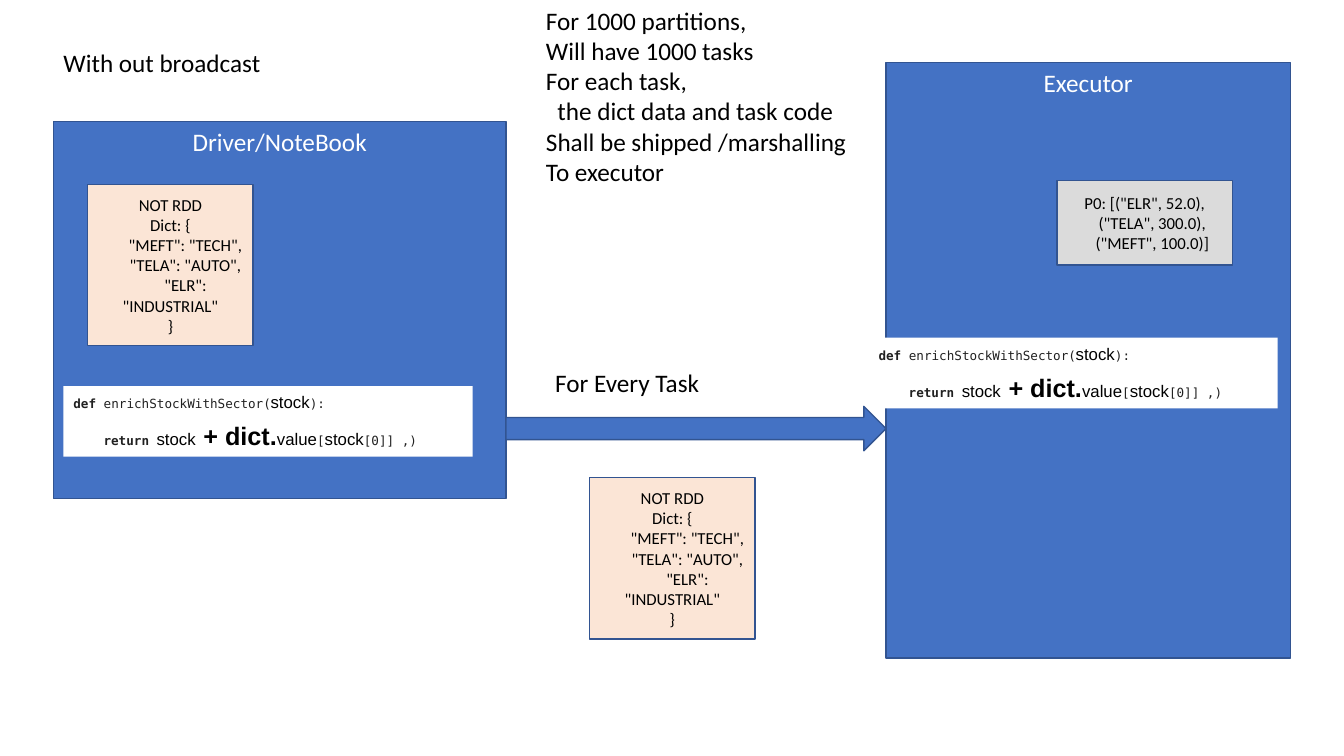
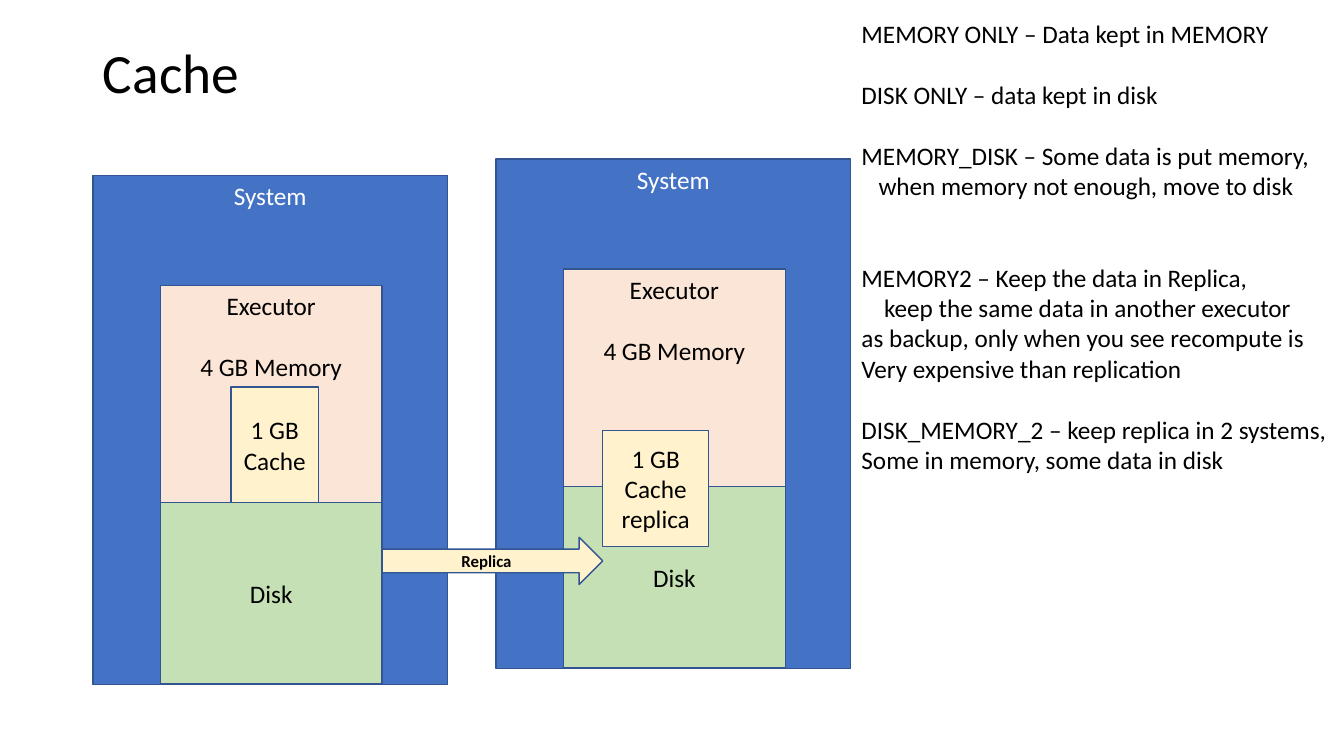
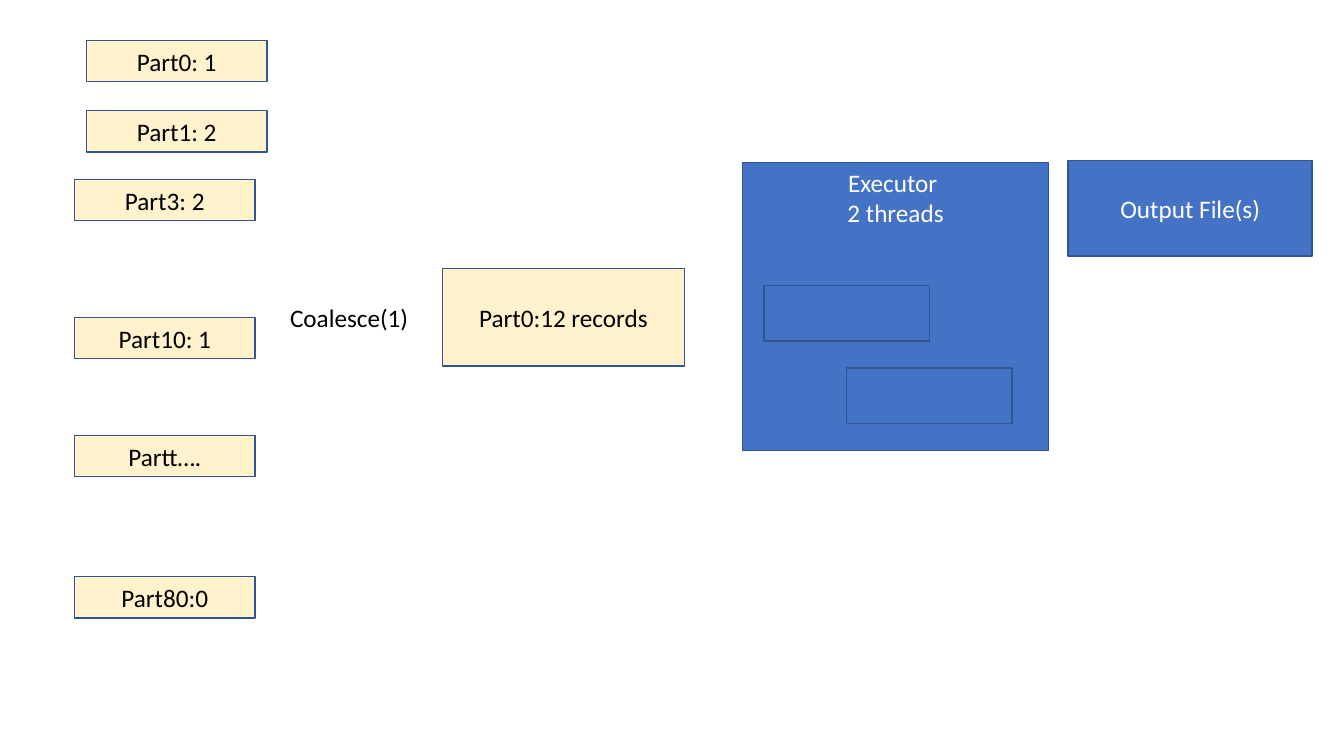
from dataclasses import dataclass

from pptx import Presentation
from pptx.dml.color import RGBColor
from pptx.enum.shapes import MSO_SHAPE as Shape
from pptx.enum.text import MSO_ANCHOR as Anchor, PP_ALIGN as Align
from pptx.util import Cm, Pt


@dataclass(frozen=True)
class Theme:
    blue: str = "4472C4"
    edge: str = "325491"
    peach: str = "FBE5D6"
    cream: str = "FFF2CC"
    green: str = "C5E0B4"
    gray: str = "DBDBDB"
    white: str = "FFFFFF"
    black: str = "000000"
    code: str = "212121"
    font: str = "Calibri"
    sans: str = "Arial"
    mono: str = "DejaVu Sans Mono"
    title: float = 39.6
    body: int = 18
    small: int = 12
    tiny: int = 9


@dataclass(frozen=True)
class Line:
    """A paragraph with a first-line indent in cm and a gap in lines before it."""
    text: str
    indent: float = 0
    gap: int = 0


THEME = Theme()
LINE_HEIGHT = 1.22

# Span styles of the code listing: font, size, colour, bold
MONO = (THEME.mono, THEME.tiny, THEME.code, False)
KEYWORD = (THEME.mono, THEME.tiny, THEME.code, True)
NAME = (THEME.sans, THEME.small, THEME.black, False)
STRONG = (THEME.sans, THEME.body, THEME.black, True)

CODE = (
    (("def ", KEYWORD), ("enrichStockWithSector(", MONO), ("stock", NAME), ("):", MONO)),
    (("return ", KEYWORD), ("stock", NAME), (" ", MONO), ("+ dict.", STRONG),
     ("value", NAME), ("[", MONO), ("stock", NAME), ("[0]] ,)", MONO)),
)
CODE_INDENT = 0.76

SECTORS = (
    "NOT RDD", "Dict: {",
    Line('"MEFT": "TECH",', 0.76),
    Line('"TELA": "AUTO",', 0.76),
    Line('"ELR": "INDUSTRIAL"', 0.76),
    "}",
)
PRICES = (
    'P0: [("ELR", 52.0),',
    Line('("TELA", 300.0),', 0.38),
    Line('("MEFT", 100.0)]', 0.38),
)
SHIPPING = (
    "For 1000 partitions,", "Will have 1000 tasks", "For each task,",
    Line("the dict data and task code", 0.29),
    "Shall be shipped /marshalling", "To executor",
)
STORAGE_LEVELS = (
    "MEMORY ONLY – Data kept in MEMORY",
    Line("DISK ONLY – data kept in disk", gap=1),
    Line("MEMORY_DISK – Some data is put memory,", gap=1),
    Line("when memory not enough, move to disk", 0.43),
    Line("MEMORY2 – Keep the data in Replica,", gap=2),
    Line("keep the same data in another executor", 0.57),
    "as backup, only when you see recompute is",
    "Very expensive than replication",
    Line("DISK_MEMORY_2 – keep replica in 2 systems,", gap=1),
    "Some in memory, some data in disk",
)


class Sketch:
    """Draws on the current page; all positions and sizes are in cm."""

    def __init__(self, theme):
        self.theme = theme
        self.deck = Presentation()
        self.deck.slide_width, self.deck.slide_height = Cm(33.87), Cm(19.05)
        self.page = None

    def new_page(self, title=None):
        layout = self.deck.slide_layouts[5 if title else 6]
        self.page = self.deck.slides.add_slide(layout)
        if title:
            box = self.page.shapes.title
            box.left, box.top, box.width, box.height = map(Cm, (2.34, 1.02, 29.21, 1.75))
            frame = box.text_frame
            frame.vertical_anchor = Anchor.MIDDLE
            self.set_lines(frame, [title], self.theme.title, self.theme.black, Align.LEFT)
            frame.paragraphs[0].line_spacing = 0.9

    def style(self, span, font, size, color, bold):
        span.font.name, span.font.size, span.font.bold = font, Pt(size), bold
        span.font.color.rgb = RGBColor.from_string(color)

    def paragraphs(self, frame, count):
        frame.word_wrap = True
        return [frame.paragraphs[0]] + [frame.add_paragraph() for _ in range(count - 1)]

    def indent(self, para, length):
        properties = para._p.get_or_add_pPr()
        properties.set("marL", "0")
        properties.set("indent", str(Cm(length)))

    def set_lines(self, frame, lines, size, color, align, bold=False):
        for para, line in zip(self.paragraphs(frame, len(lines)), lines):
            if isinstance(line, str):
                line = Line(line)
            para.text = line.text
            para.alignment = align
            if line.indent:
                self.indent(para, line.indent)
            if line.gap:
                para.space_before = Pt(round(line.gap * size * LINE_HEIGHT))
            self.style(para.runs[0], self.theme.font, size, color, bold)

    def label(self, left, top, width, height, *lines):
        box = self.page.shapes.add_textbox(*map(Cm, (left, top, width, height)))
        self.set_lines(box.text_frame, lines, self.theme.body, self.theme.black, Align.LEFT)

    def box(self, left, top, width, height, fill, *lines, size=None, bold=False,
            anchor=Anchor.MIDDLE, kind=Shape.RECTANGLE, edge=True):
        theme = self.theme
        box = self.page.shapes.add_shape(kind, *map(Cm, (left, top, width, height)))
        box.shadow.inherit = False
        box.fill.solid()
        box.fill.fore_color.rgb = RGBColor.from_string(fill)
        if edge:
            box.line.color.rgb = RGBColor.from_string(theme.edge)
            box.line.width = Pt(1)
        else:
            box.line.fill.background()
        box.text_frame.vertical_anchor = anchor
        if lines:
            color = theme.white if fill == theme.blue else theme.black
            self.set_lines(box.text_frame, lines, size or theme.body, color,
                           Align.CENTER, bold)
        return box

    def container(self, left, top, width, height, fill, *lines):
        """A box whose heading stands at its top."""
        return self.box(left, top, width, height, fill, *lines, anchor=Anchor.TOP)

    def arrow(self, left, top, width, height, fill, *lines):
        self.box(left, top, width, height, fill, *lines, size=self.theme.small,
                 bold=True, kind=Shape.RIGHT_ARROW)

    def sectors(self, left, top):
        self.box(left, top, 4.17, 4.06, self.theme.peach, *SECTORS, size=self.theme.small)

    def code(self, left, top):
        box = self.box(left, top, 10.31, 1.78, self.theme.white, edge=False)
        first, second = paras = self.paragraphs(box.text_frame, len(CODE))
        for para, spans in zip(paras, CODE):
            para.alignment = Align.LEFT
            for text, style in spans:
                span = para.add_run()
                span.text = text
                self.style(span, *style)
        self.indent(second, CODE_INDENT)
        second.space_before = Pt(6)

    def system(self, left, top):
        """A machine with its executor memory above its disk."""
        theme = self.theme
        self.container(left, top, 8.94, 12.83, theme.blue, "System")
        self.container(left + 1.7, top + 2.77, 5.59, 5.54, theme.peach,
                       "Executor", Line("4 GB Memory", gap=1))
        self.box(left + 1.7, top + 8.25, 5.59, 4.57, theme.green, "Disk")


def broadcast_page(sketch):
    theme = sketch.theme
    sketch.new_page()
    sketch.label(1.35, 1.07, 5.6, 1.02, "With out broadcast")
    sketch.container(1.35, 3.07, 11.4, 9.5, theme.blue, "Driver/NoteBook")
    sketch.container(22.33, 1.57, 10.19, 15.01, theme.blue, "Executor")
    sketch.box(26.64, 4.55, 4.42, 2.13, theme.gray, *PRICES, size=theme.small)
    sketch.sectors(2.21, 4.65)
    sketch.code(1.6, 9.73)
    sketch.arrow(12.75, 10.24, 9.58, 1.12, theme.blue)
    sketch.label(13.74, 9.12, 4.2, 1.02, "For Every Task")
    sketch.sectors(14.86, 12.04)
    sketch.label(13.51, 0, 9.45, 4.88, *SHIPPING)
    sketch.code(21.89, 8.51)


def cache_page(sketch):
    theme = sketch.theme
    sketch.new_page("Cache")
    sketch.system(2.34, 4.42)
    sketch.box(5.82, 9.75, 2.21, 2.92, theme.cream, "1 GB", "Cache")
    sketch.label(21.46, 0.33, 12.5, 11.79, *STORAGE_LEVELS)
    sketch.system(12.5, 4.01)
    sketch.box(15.19, 10.85, 2.67, 2.92, theme.cream, "1 GB", "Cache", "replica")
    sketch.arrow(9.63, 13.54, 5.56, 1.19, theme.cream, "Replica")


def coalesce_page(sketch):
    theme = sketch.theme
    sketch.new_page()
    sketch.box(26.92, 4.04, 6.15, 2.41, theme.blue, "Output File(s)")
    sketch.container(18.72, 4.09, 7.7, 7.26, theme.blue, "Executor ", "2 threads")
    for left, top in ((19.25, 7.19), (21.34, 9.27)):
        sketch.box(left, top, 4.17, 1.4, theme.blue)
    partitions = (
        (2.18, 1.02, "Part0: 1"), (2.18, 2.79, "Part1: 2"), (1.88, 4.52, "Part3: 2"),
        (1.88, 8, "Part10: 1"), (1.88, 10.97, "Partt…."), (1.88, 14.53, "Part80:0"),
    )
    for left, top, text in partitions:
        sketch.box(left, top, 4.55, 1.04, theme.cream, text)
    sketch.label(7.06, 7.49, 3.6, 1.02, "Coalesce(1)")
    sketch.box(11.15, 6.76, 6.1, 2.46, theme.cream, "Part0:12 records")


def main():
    sketch = Sketch(THEME)
    for draw in (broadcast_page, cache_page, coalesce_page):
        draw(sketch)
    sketch.deck.save("out.pptx")


if __name__ == "__main__":
    main()
